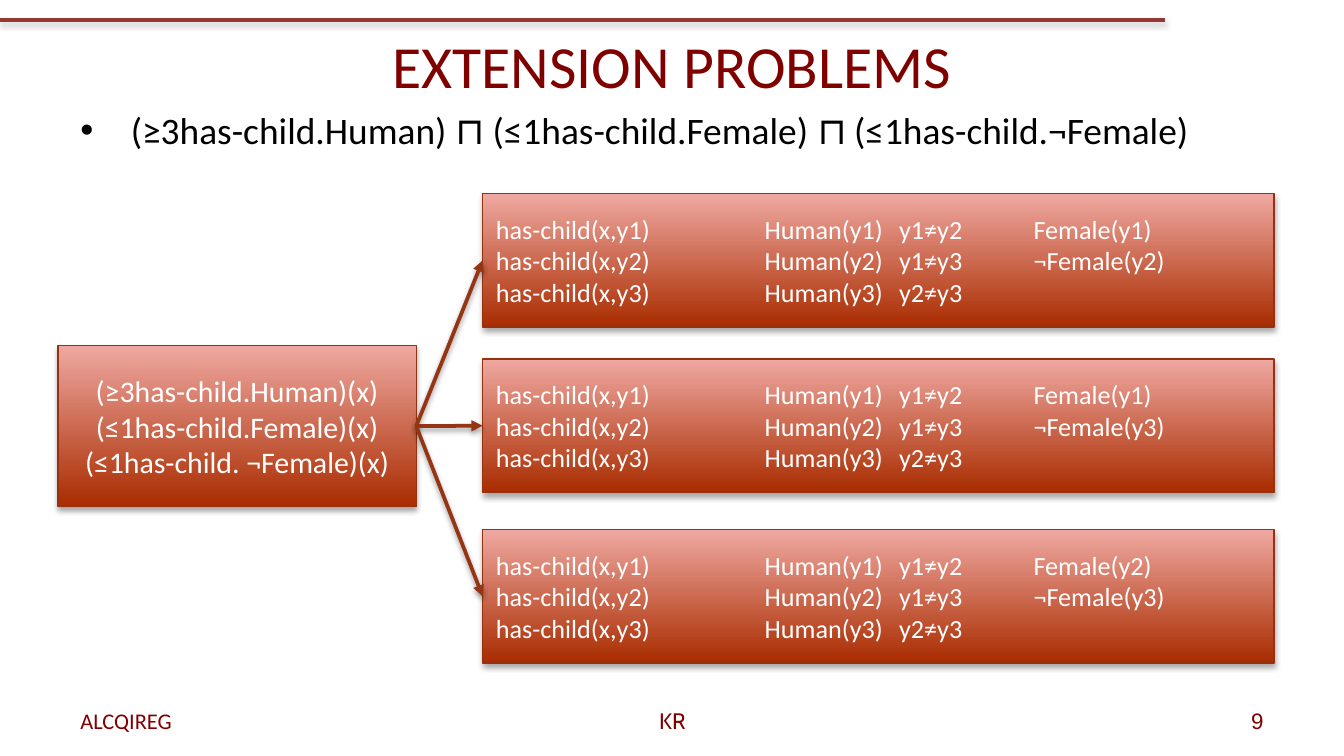
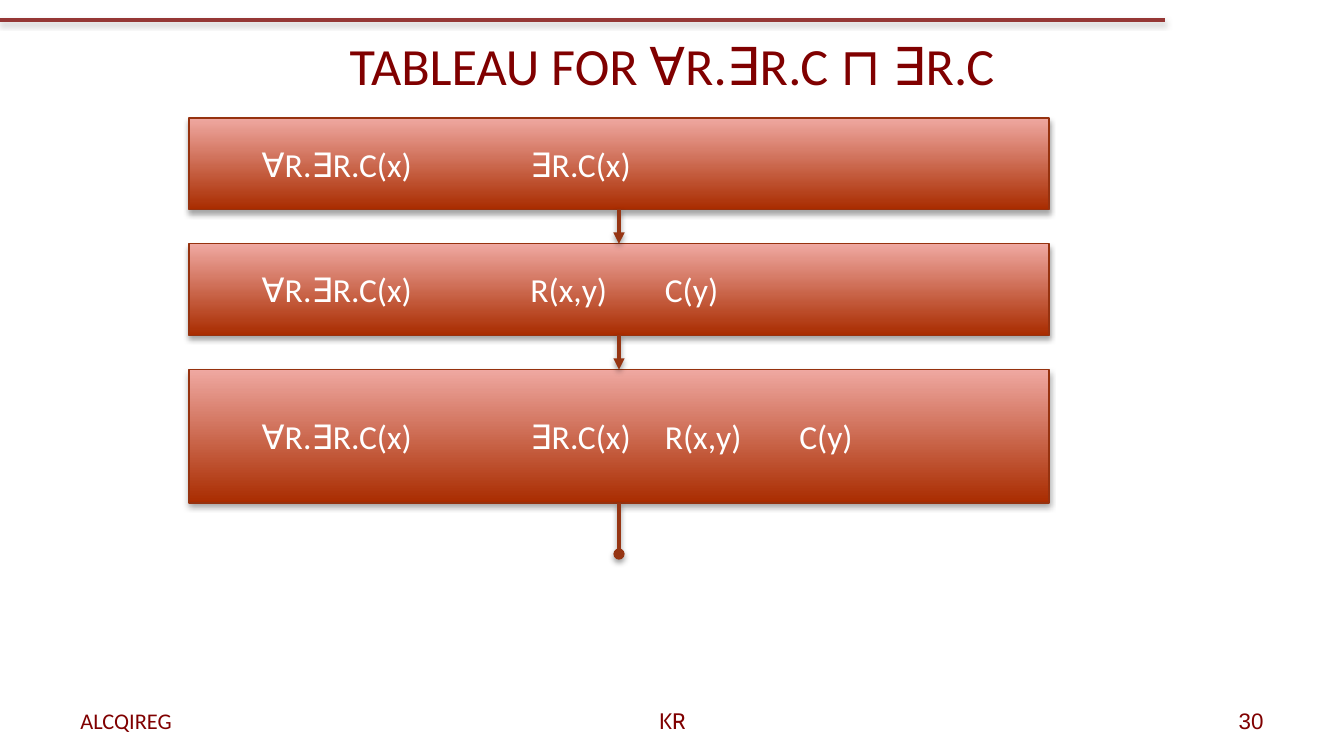
"""Build two slides on description-logic tableaux."""
from lxml import etree
from pptx import Presentation
from pptx.dml.color import RGBColor
from pptx.enum import shapes, text
from pptx.oxml.ns import qn
from pptx.util import Pt

MAROON = RGBColor(0x80, 0x00, 0x00)
BLACK = RGBColor(0x00, 0x00, 0x00)
WHITE = RGBColor(0xFF, 0xFF, 0xFF)
GRAY = RGBColor(0x80, 0x80, 0x80)
BAND = RGBColor(0x95, 0x37, 0x35)
ARROW = RGBColor(0x96, 0x35, 0x13)
EDGE = RGBColor(0x96, 0x32, 0x0F)
DARK = RGBColor(0xA9, 0x2C, 0x00)
LIGHT = RGBColor(0xEF, 0xA8, 0xA1)

FONT = "Calibri"
LEFT, CENTER, RIGHT = text.PP_ALIGN.LEFT, text.PP_ALIGN.CENTER, text.PP_ALIGN.RIGHT
TOP_SITE, LEFT_SITE, BOTTOM_SITE, RIGHT_SITE = range(4)
TABS = (144, 216, 288)


def add_child(parent, tag, **attrs):
    """Append a DrawingML element and return it."""
    child = etree.SubElement(parent, qn(tag))
    for name, value in attrs.items():
        child.set(name, str(value))
    return child


def add_shadow(sp, color=BLACK, alpha=38, distance=1.6):
    """Give a shape or connector a soft shadow below it."""
    pr = sp._element.spPr
    for old in pr.findall(qn("a:effectLst")):
        pr.remove(old)
    shadow = add_child(add_child(pr, "a:effectLst"), "a:outerShdw", blurRad=Pt(3.1),
                       dist=Pt(distance), dir=90 * 60000, rotWithShape=0)
    add_child(add_child(shadow, "a:srgbClr", val=color), "a:alpha", val=alpha * 1000)


def style_font(p, size, color, name=FONT):
    """Set the font of a whole paragraph."""
    p.font.size, p.font.name, p.font.color.rgb = Pt(size), name, color


def write(tf, lines, size, color, align=LEFT, font=FONT, tabs=(), bullet=None):
    """Fill a text frame with one paragraph per line."""
    tf.word_wrap = True
    for i, line in enumerate(lines):
        p = tf.paragraphs[0] if i == 0 else tf.add_paragraph()
        p.text = line
        p.alignment = align
        pPr = p._p.get_or_add_pPr()
        if bullet:
            pPr.set("marL", str(Pt(27)))
            pPr.set("indent", str(-Pt(27)))
            add_child(pPr, "a:buFont", typeface="Arial")
            add_child(pPr, "a:buChar", char=bullet)
        if tabs:
            tab_list = add_child(pPr, "a:tabLst")
            for tab in tabs:
                add_child(tab_list, "a:tab", pos=Pt(tab), algn="l")
        style_font(p, size, color, font)


def add_text(s, x, y, w, h, line, size, color, anchor=text.MSO_ANCHOR.MIDDLE, **style):
    """Add a one-line text box."""
    tf = s.shapes.add_textbox(Pt(x), Pt(y), Pt(w), Pt(h)).text_frame
    tf.vertical_anchor = anchor
    write(tf, [line], size, color, **style)


def add_box(s, x, y, w, h, lines, size, inset=7.2, **style):
    """Add a shaded box holding the assertions of one tableau node."""
    sp = s.shapes.add_shape(shapes.MSO_SHAPE.RECTANGLE, Pt(x), Pt(y), Pt(w), Pt(h))
    sp.fill.gradient()
    sp.fill.gradient_angle = 90
    for stop, color in zip(sp.fill.gradient_stops, (DARK, LIGHT)):
        stop.color.rgb = color
    sp.line.color.rgb = EDGE
    sp.line.width = Pt(0.75)
    add_shadow(sp, alpha=35, distance=1.8)
    tf = sp.text_frame
    tf.vertical_anchor = text.MSO_ANCHOR.MIDDLE
    tf.margin_left = Pt(inset)
    write(tf, lines, size, WHITE, **style)
    return sp


def add_line(s, x1, y1, x2, y2, color=ARROW, head=None, shadow=BLACK):
    """Add a straight line with an optional head at its end."""
    line = s.shapes.add_connector(shapes.MSO_CONNECTOR.STRAIGHT,
                                  Pt(x1), Pt(y1), Pt(x2), Pt(y2))
    line.line.color.rgb = color
    line.line.width = Pt(2)
    if head:
        add_child(line.line._get_or_add_ln(), "a:tailEnd", type=head)
    add_shadow(line, shadow)
    return line


def link(s, start, start_site, end, end_site):
    """Join two boxes with an arrow."""
    arrow = add_line(s, 0, 0, 0, 0, head="triangle")
    arrow.begin_connect(start, start_site)
    arrow.end_connect(end, end_site)


def new_slide(prs, title, size, number):
    """Add a slide with the shared band, title and footers."""
    s = prs.slides.add_slide(prs.slide_layouts[5])
    add_line(s, 0, 10.8, 624, 10.8, BAND, shadow=GRAY)
    sp = s.shapes.title
    sp.left, sp.top, sp.width, sp.height = Pt(36), Pt(0.7), Pt(648), Pt(67.7)
    sp.text_frame.vertical_anchor = text.MSO_ANCHOR.MIDDLE
    write(sp.text_frame, [title], size, MAROON, align=CENTER)
    footers = ((36, 196.5, "ALCQIREG", LEFT, FONT),
               (246, 228.5, "KR", CENTER, "Cabin"),
               (516, 168, number, RIGHT, "Arial"))
    for x, w, label, align, font in footers:
        add_text(s, x, 375, w, 21.6, label, 12, MAROON, align=align, font=font)
    return s


def build_extension(prs):
    """Show the three ways to extend the tableau."""
    s = new_slide(prs, "EXTENSION PROBLEMS", 32, "9")
    add_text(s, 36, 54, 648, 39.6,
             "(≥3has-child.Human) ⊓ (≤1has-child.Female) ⊓ (≤1has-child.¬Female)",
             20, BLACK, anchor=text.MSO_ANCHOR.TOP, bullet="•")
    root = add_box(s, 31, 185.2, 192, 86.2,
                   ["(≥3has-child.Human)(x)", "(≤1has-child.Female)(x)",
                    "(≤1has-child. ¬Female)(x)"], 16, align=CENTER)
    branches = []
    for y, female, other in ((103.8, 1, 2), (192.4, 1, 3), (283.8, 2, 3)):
        lines = [f"has-child(x,y1)\tHuman(y1)\ty1≠y2\tFemale(y{female})",
                 f"has-child(x,y2)\tHuman(y2)\ty1≠y3\t¬Female(y{other})",
                 "has-child(x,y3)\tHuman(y3) \ty2≠y3"]
        branches.append(add_box(s, 258.6, y, 424, 71.4, lines, 14, tabs=TABS))
    for branch in branches:
        link(s, root, RIGHT_SITE, branch, LEFT_SITE)


def build_tableau(prs):
    """Show the chain of tableau steps."""
    s = new_slide(prs, "TABLEAU FOR ∀R.∃R.C ⊓ ∃R.C", 28, "30")
    steps = ((63.2, 49, "∀R.∃R.C(x) \t∃R.C(x)"),
             (130.6, 49, "∀R.∃R.C(x) \tR(x,y)\tC(y)"),
             (198, 71.4, "∀R.∃R.C(x)\t∃R.C(x)\tR(x,y)\tC(y)"))
    previous = None
    for y, h, line in steps:
        box = add_box(s, 101.2, y, 460.8, h, [line], 18, inset=39, tabs=TABS)
        if previous:
            link(s, previous, BOTTOM_SITE, box, TOP_SITE)
        previous = box
    end = add_line(s, 331.6, 269.4, 331.6, 296.8, head="oval")
    end.begin_connect(previous, BOTTOM_SITE)


def main():
    """Build and save the presentation."""
    prs = Presentation()
    prs.slide_width, prs.slide_height = Pt(720), Pt(405)
    build_extension(prs)
    build_tableau(prs)
    prs.save("out.pptx")


if __name__ == "__main__":
    main()
